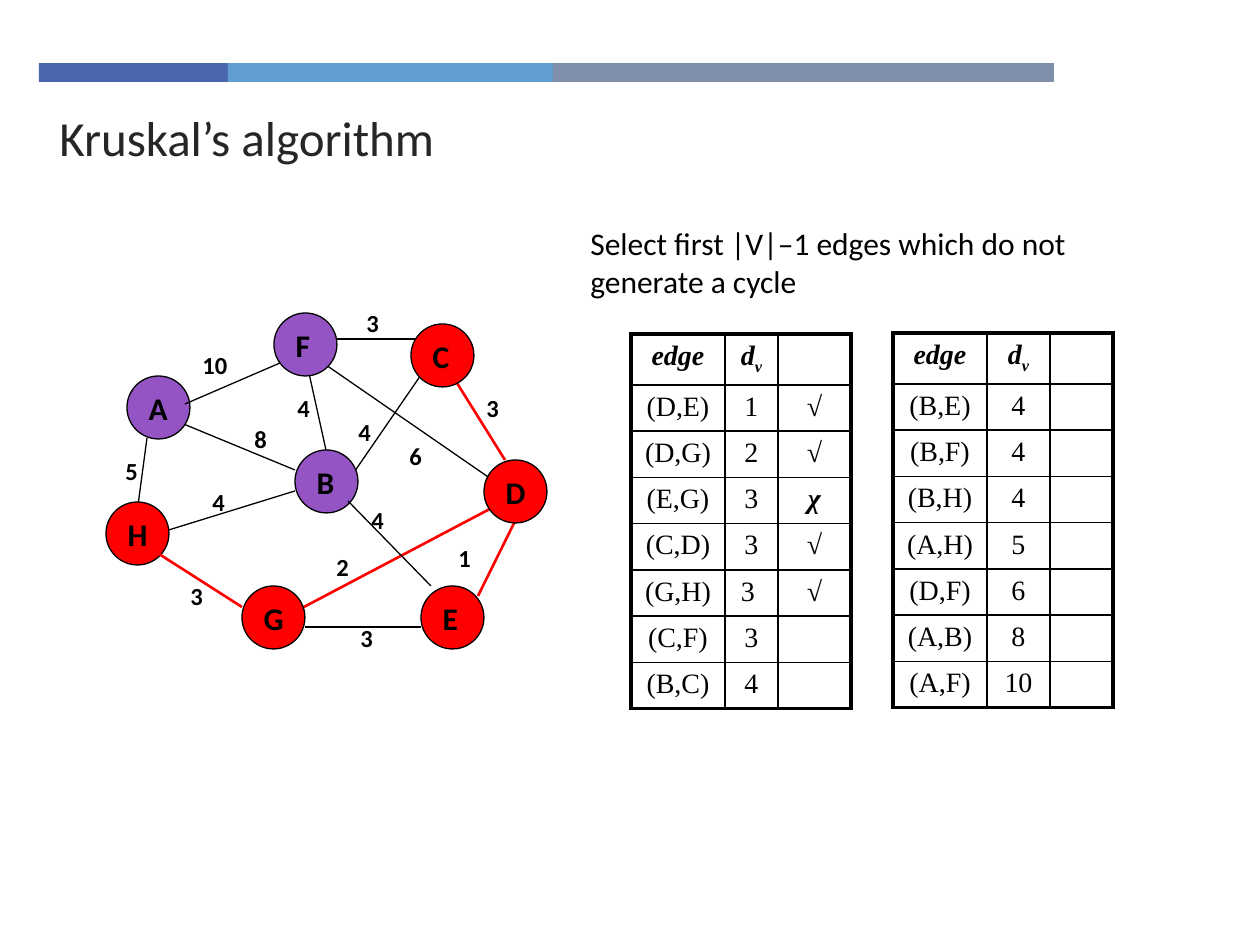
import lxml.etree
import pptx
import pptx.dml.color
import pptx.enum.shapes
import pptx.enum.text
import pptx.oxml.ns
import pptx.util

SCALE = 914400 / 126
BLACK, RED, PURPLE = "000000", "FF0000", "9454C3"
NODE_SIZE = 63
LABEL_SIZE = 42

BANNER = [(189, "4A66AC"), (325, "629DD1"), (501, "7F8FA9")]
NODES = [
    ("A", 21, 74, PURPLE), ("H", 0, 200, RED), ("B", 189, 148, PURPLE),
    ("F", 168, 11, PURPLE), ("E", 315, 284, RED), ("D", 378, 158, RED),
    ("C", 305, 22, RED), ("G", 136, 284, RED),
]
EDGES_BEHIND = [
    (424, 189, 372, 294, RED), (199, 53, 220, 148, BLACK),
    (242, 179, 315, 73, BLACK), (388, 179, 220, 63, BLACK),
    (53, 231, 189, 189, BLACK), (179, 315, 399, 199, RED),
    (31, 211, 41, 136, BLACK), (63, 116, 189, 168, BLACK),
    (227, 37, 311, 37, BLACK), (346, 73, 399, 158, RED),
]
EDGES_IN_FRONT = [
    (242, 199, 325, 284, BLACK), (315, 325, 199, 325, BLACK),
    (136, 305, 53, 252, RED), (79, 102, 174, 61, BLACK),
]
WEIGHTS = [
    ("5", 7, 148), ("1", 340, 235), ("3", 242, 315), ("2", 218, 244),
    ("4", 253, 197), ("6", 291, 133), ("3", 368, 85), ("4", 240, 109),
    ("3", 248, 0), ("4", 179, 85), ("8", 136, 116), ("4", 94, 179),
    ("3", 72, 273), ("10", 84, 42),
]
FIRST_EDGES = [
    ("(D,E)", "1", "√"), ("(D,G)", "2", "√"), ("(E,G)", "3", "χ"),
    ("(C,D)", "3", "√"), ("(G,H)", "3 ", "√"), ("(C,F)", "3", ""),
    ("(B,C)", "4", ""),
]
LAST_EDGES = [
    ("(B,E)", "4", ""), ("(B,F)", "4", ""), ("(B,H)", "4", ""),
    ("(A,H)", "5", ""), ("(D,F)", "6", ""), ("(A,B)", "8", ""),
    ("(A,F)", "10", ""),
]


def px(length):
    return pptx.util.Emu(round(length * SCALE))


def color(value):
    return pptx.dml.color.RGBColor.from_string(value)


def write(para, text, size, font="Calibri", fill=BLACK, bold=False,
          italic=False, baseline=0):
    span = para.add_run()
    span.text = text
    span.font.name = font
    span.font.size = pptx.util.Pt(size)
    span.font.bold = bold
    span.font.italic = italic
    span.font.color.rgb = color(fill)
    if baseline:
        span.font._element.set("baseline", str(baseline * 1000))


def add_text(page, box, text, **style):
    frame = page.shapes.add_textbox(*map(px, box)).text_frame
    frame.word_wrap = True
    write(frame.paragraphs[0], text, **style)


def add_figure(page, kind, box, fill):
    shape = page.shapes.add_shape(kind, *map(px, box))
    shape.shadow.inherit = False
    shape.fill.solid()
    shape.fill.fore_color.rgb = color(fill)
    shape.line.fill.background()
    return shape


def add_banner(page, box):
    left, top, width, height = box
    for part, fill in BANNER:
        add_figure(page, pptx.enum.shapes.MSO_SHAPE.RECTANGLE,
                   (left, top, part, height), fill)
        left += part


def add_edges(page, box, edges):
    left, top = box[:2]
    for x1, y1, x2, y2, stroke in edges:
        edge = page.shapes.add_connector(
            pptx.enum.shapes.MSO_CONNECTOR.STRAIGHT,
            px(left + x1), px(top + y1), px(left + x2), px(top + y2))
        edge.line.color.rgb = color(stroke)
        edge.line.width = pptx.util.Pt(1.5 if stroke == RED else 0.75)
        lxml.etree.SubElement(edge._element.spPr, pptx.oxml.ns.qn("a:effectLst"))


def add_node(page, box, name, fill):
    node = add_figure(page, pptx.enum.shapes.MSO_SHAPE.OVAL, box, fill)
    node.line.color.rgb = color(BLACK)
    node.line.width = pptx.util.Pt(0.75)
    frame = node.text_frame
    frame.word_wrap = False
    frame.vertical_anchor = pptx.enum.text.MSO_ANCHOR.MIDDLE
    para = frame.paragraphs[0]
    para.alignment = pptx.enum.text.PP_ALIGN.LEFT
    write(para, name, size=18, bold=True)


def add_graph(page, box):
    left, top = box[:2]
    add_edges(page, box, EDGES_BEHIND)
    for name, x, y, fill in NODES:
        add_node(page, (left + x, top + y, NODE_SIZE, NODE_SIZE), name, fill)
    add_edges(page, box, EDGES_IN_FRONT)
    for weight, x, y in WEIGHTS:
        width = LABEL_SIZE if len(weight) == 1 else 65
        add_text(page, (left + x, top + y, width, LABEL_SIZE), weight,
                 size=14, bold=True)


def set_borders(cell, outer_sides):
    properties = cell._tc.get_or_add_tcPr()
    for side in "LRTB":
        width = pptx.util.Pt(2.25 if side in outer_sides else 1)
        line = lxml.etree.SubElement(
            properties, pptx.oxml.ns.qn("a:ln" + side), w=str(int(width)))
        fill = lxml.etree.SubElement(line, pptx.oxml.ns.qn("a:solidFill"))
        lxml.etree.SubElement(fill, pptx.oxml.ns.qn("a:srgbClr"), val=BLACK)


def fill_cell(cell, text, strong):
    cell.fill.background()
    if not text:
        cell.margin_top = cell.margin_bottom = 0
        return
    para = cell.text_frame.paragraphs[0]
    para.alignment = pptx.enum.text.PP_ALIGN.CENTER
    style = dict(size=16, font="Times New Roman", bold=strong, italic=strong)
    name, _, subscript = text.partition("_")
    write(para, name, **style)
    if subscript:
        write(para, subscript, baseline=-25, **style)


def add_edge_table(page, box, widths, edges):
    rows = [("edge", "d_v", "")] + edges
    last_row, last_column = len(rows) - 1, len(widths) - 1
    table = page.shapes.add_table(
        len(rows), len(widths), *map(px, box)).table
    table.first_row = table.horz_banding = False
    for column, width in zip(table.columns, widths):
        column.width = px(width)
    for r, values in enumerate(rows):
        table.rows[r].height = px(46 if r else 51)
        for c, value in enumerate(values):
            cell = table.cell(r, c)
            outer = {"L": c == 0, "R": c == last_column,
                     "T": r == 0, "B": r == last_row}
            set_borders(cell, [side for side in outer if outer[side]])
            fill_cell(cell, value, strong=r == 0 or c == last_column)


def main():
    deck = pptx.Presentation()
    deck.slide_width, deck.slide_height = px(1260), px(945)
    page = deck.slides.add_slide(deck.slide_layouts[6])
    add_banner(page, (39, 63, 1015, 19))
    add_text(page, (578, 218, 557, 97),
             "Select first |V|–1 edges which do not generate a cycle", size=18)
    add_graph(page, (106, 302, 442, 357))
    add_edge_table(page, (631, 334, 220, 373), (94, 53, 73), FIRST_EDGES)
    add_edge_table(page, (893, 333, 220, 373), (94, 63, 63), LAST_EDGES)
    add_text(page, (47, 101, 902, 68), "Kruskal’s algorithm", size=28,
             fill="262626")
    deck.save("out.pptx")


if __name__ == "__main__":
    main()
